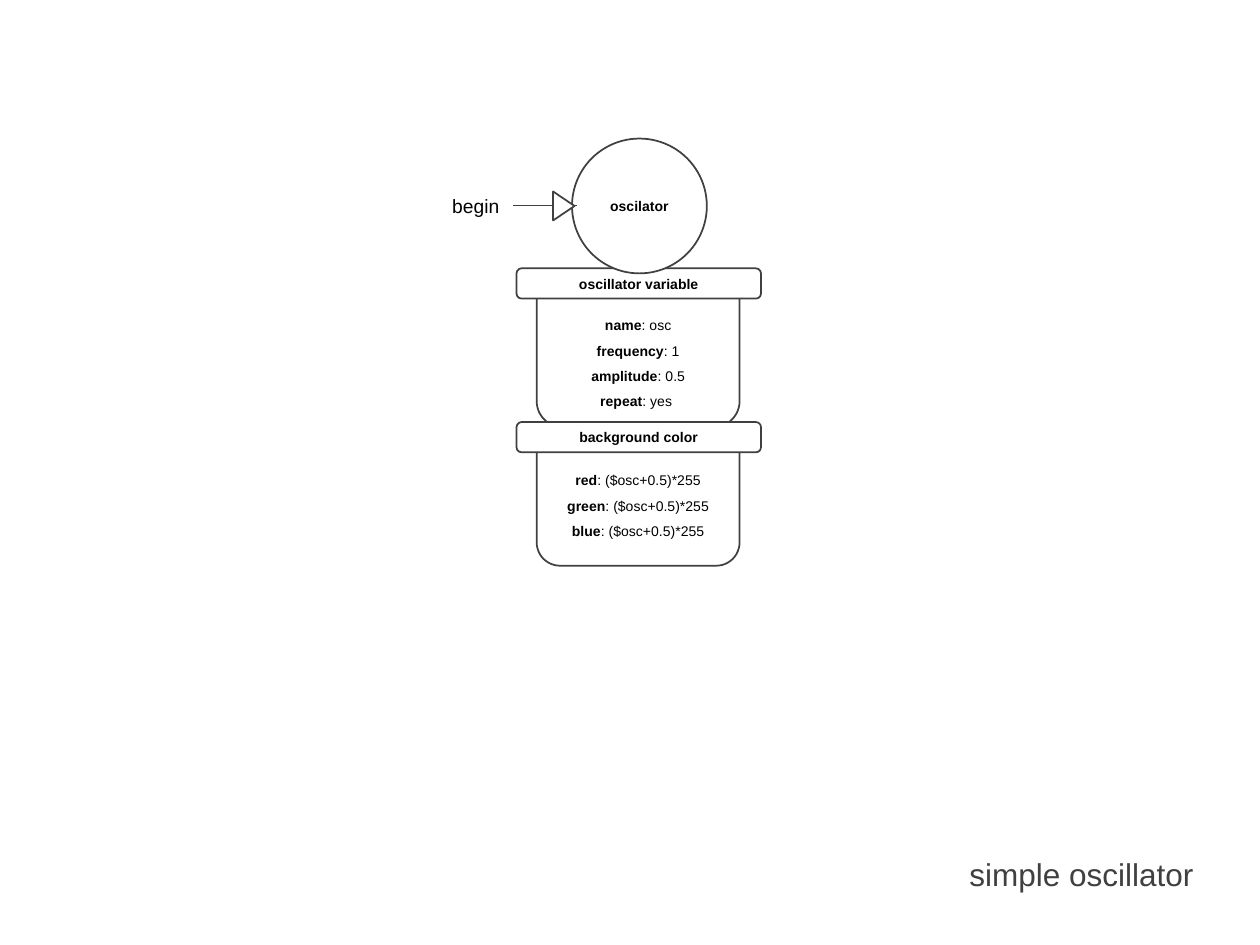
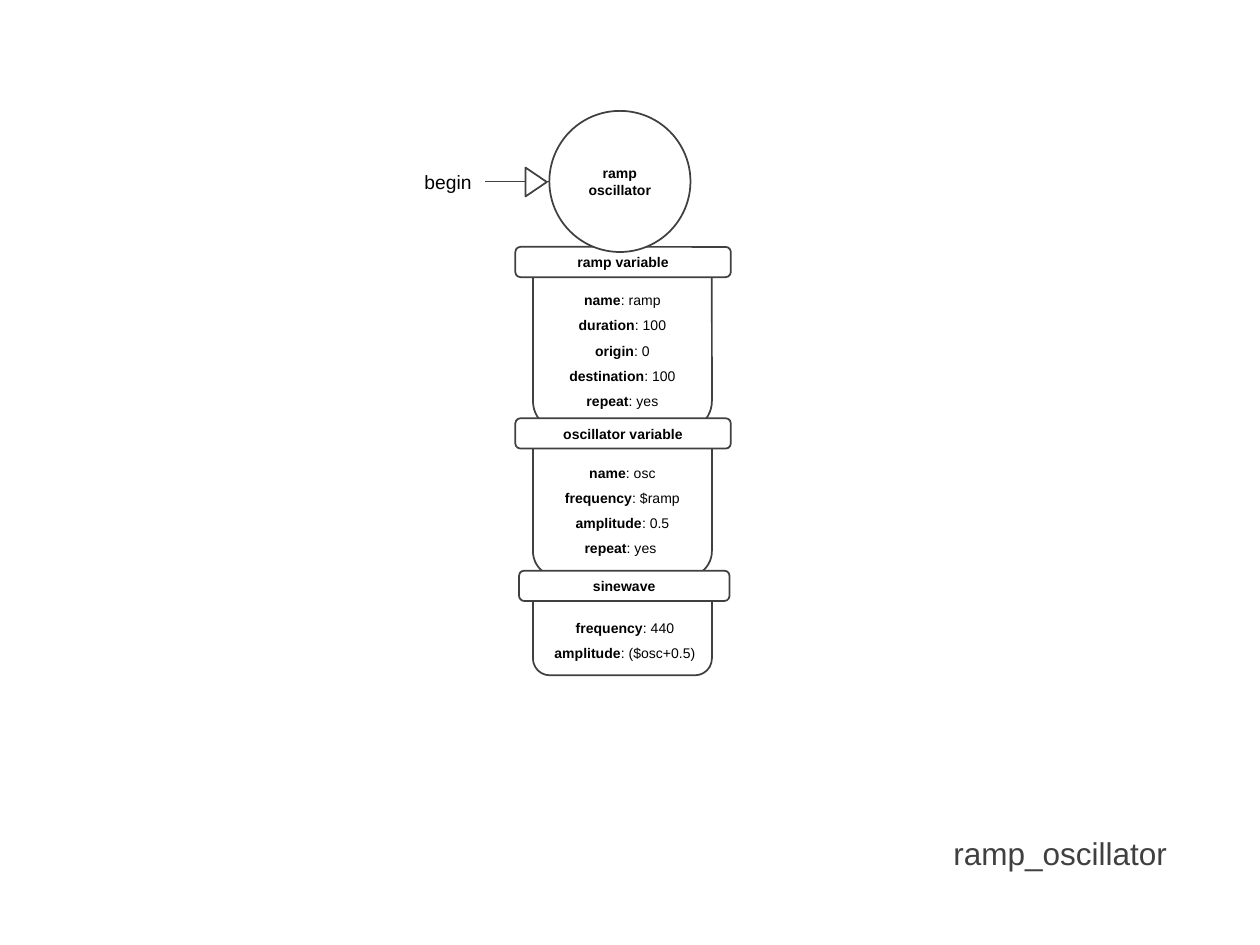
"""Draw two state diagrams of oscillator programs."""
from dataclasses import dataclass

from lxml.etree import SubElement
from pptx import Presentation
from pptx.dml.color import RGBColor
from pptx.enum.shapes import MSO_CONNECTOR, MSO_SHAPE
from pptx.enum.text import MSO_ANCHOR, MSO_AUTO_SIZE, PP_ALIGN
from pptx.oxml.ns import qn
from pptx.util import Emu, Pt


@dataclass(frozen=True)
class Theme:
    font: str = "Arial"
    ink: RGBColor = RGBColor(0x00, 0x00, 0x00)
    edge: RGBColor = RGBColor(0x40, 0x40, 0x40)
    paper: RGBColor = RGBColor(0xFF, 0xFF, 0xFF)
    small: int = 8
    label: int = 11
    title: int = 18
    stroke: int = 1
    lead: float = 1.5


@dataclass(frozen=True)
class Stage:
    head: str
    rows: tuple
    bar: tuple
    body: tuple
    drop: int
    shift: int = 0


THEME = Theme()
SCALE = 9144
BAR = 24
LIP = 3
ROW = 20
PAD = 10


def px(*sizes):
    return [Emu(size * SCALE) for size in sizes]


def style(run, size, color=THEME.ink, bold=False):
    font = run.font
    font.name, font.size, font.bold = THEME.font, Pt(size), bold
    font.color.rgb = color


def add_form(slide, kind, box, text=""):
    form = slide.shapes.add_shape(kind, *px(*box))
    form.shadow.inherit = False
    form.fill.solid()
    form.fill.fore_color.rgb = THEME.paper
    form.line.color.rgb = THEME.edge
    form.line.width = Pt(THEME.stroke)
    if text:
        frame = form.text_frame
        frame.text = text
        frame.word_wrap = True
        frame.vertical_anchor = MSO_ANCHOR.MIDDLE
        para = frame.paragraphs[0]
        para.alignment = PP_ALIGN.CENTER
        style(para.runs[0], THEME.small, bold=True)
    return form


def add_text(slide, box, wrap=True):
    text = slide.shapes.add_textbox(*px(*box))
    text.text_frame.word_wrap = wrap
    text.text_frame.auto_size = MSO_AUTO_SIZE.SHAPE_TO_FIT_TEXT
    return text


def add_rows(slide, box, rows):
    frame = add_text(slide, box).text_frame
    for spot, (name, value) in enumerate(rows):
        para = frame.add_paragraph() if spot else frame.paragraphs[0]
        para.alignment = PP_ALIGN.CENTER
        para.line_spacing = THEME.lead
        for part, bold in ((name, True), (f": {value}", False)):
            run = para.add_run()
            run.text = part
            style(run, THEME.small, bold=bold)


def add_stage(slide, stage):
    left, top, width = stage.bar
    side, span, depth = stage.body
    add_form(slide, MSO_SHAPE.ROUNDED_RECTANGLE, (side, top + LIP, span, depth))
    add_form(slide, MSO_SHAPE.ROUNDED_RECTANGLE, (left, top, width, BAR), stage.head)
    tall = ROW * len(stage.rows) + PAD
    add_rows(slide, (side + stage.shift, top + stage.drop, span, tall), stage.rows)


def add_title(slide, text, box):
    frame = add_text(slide, box).text_frame
    frame.text = text
    para = frame.paragraphs[0]
    para.alignment = PP_ALIGN.RIGHT
    para.line_spacing = THEME.lead
    style(para.runs[0], THEME.title, THEME.edge)


def add_start(slide, left, top):
    wide, tall, reach = 58, 28, 51
    label = add_text(slide, (left, top, wide, tall), wrap=False)
    label.text_frame.text = "begin"
    style(label.text_frame.paragraphs[0].runs[0], THEME.label)
    from_x, mid = left + wide, top + tall // 2
    line = slide.shapes.add_connector(
        MSO_CONNECTOR.STRAIGHT, *px(from_x, mid, from_x + reach, mid))
    line.begin_connect(label, 3)
    line.line.color.rgb = THEME.edge
    line.line.width = Pt(THEME.stroke)
    SubElement(line._element.spPr, qn("a:effectLst"))
    tip = add_form(slide, MSO_SHAPE.ISOSCELES_TRIANGLE, (from_x + 29, top + 6, 23, 17))
    tip.rotation = 90


def add_chain(deck, title, place, state, ring, start, stages):
    slide = deck.slides.add_slide(deck.slide_layouts[6])
    for stage in stages:
        add_stage(slide, stage)
    add_form(slide, MSO_SHAPE.OVAL, ring, state)
    add_title(slide, title, place)
    add_start(slide, *start)


def main():
    deck = Presentation()
    deck.slide_width, deck.slide_height = px(1000, 750)
    wave = "($osc+0.5)*255"
    add_chain(
        deck, "simple oscillator", (196, 659, 761, 53),
        "oscilator", (454, 110, 107, 107), (349, 149),
        [
            Stage("oscillator variable",
                  (("name", "osc"), ("frequency", "1"),
                   ("amplitude", "0.5"), ("repeat", "yes ")),
                  (410, 213, 194), (426, 161, 123), 27),
            Stage("background color",
                  tuple((hue, wave) for hue in ("red", "green", "blue")),
                  (410, 335, 194), (426, 161, 111), 28),
        ])
    add_chain(
        deck, "ramp_oscillator", (534, 642, 402, 53),
        "ramp oscillator", (436, 88, 112, 112), (327, 130),
        [
            Stage("ramp variable",
                  (("name", "ramp"), ("duration", "100"), ("origin", "0"),
                   ("destination", "100"), ("repeat", "yes")),
                  (409, 196, 171), (423, 142, 143), 24),
            Stage("oscillator variable",
                  (("name", "osc"), ("frequency", "$ramp"),
                   ("amplitude", "0.5"), ("repeat", "yes ")),
                  (409, 332, 171), (423, 142, 123), 25),
            Stage("sinewave",
                  (("frequency", "440"), ("amplitude", "($osc+0.5)")),
                  (412, 453, 167), (423, 142, 80), 27, 2),
        ])
    deck.save("out.pptx")


if __name__ == "__main__":
    main()
